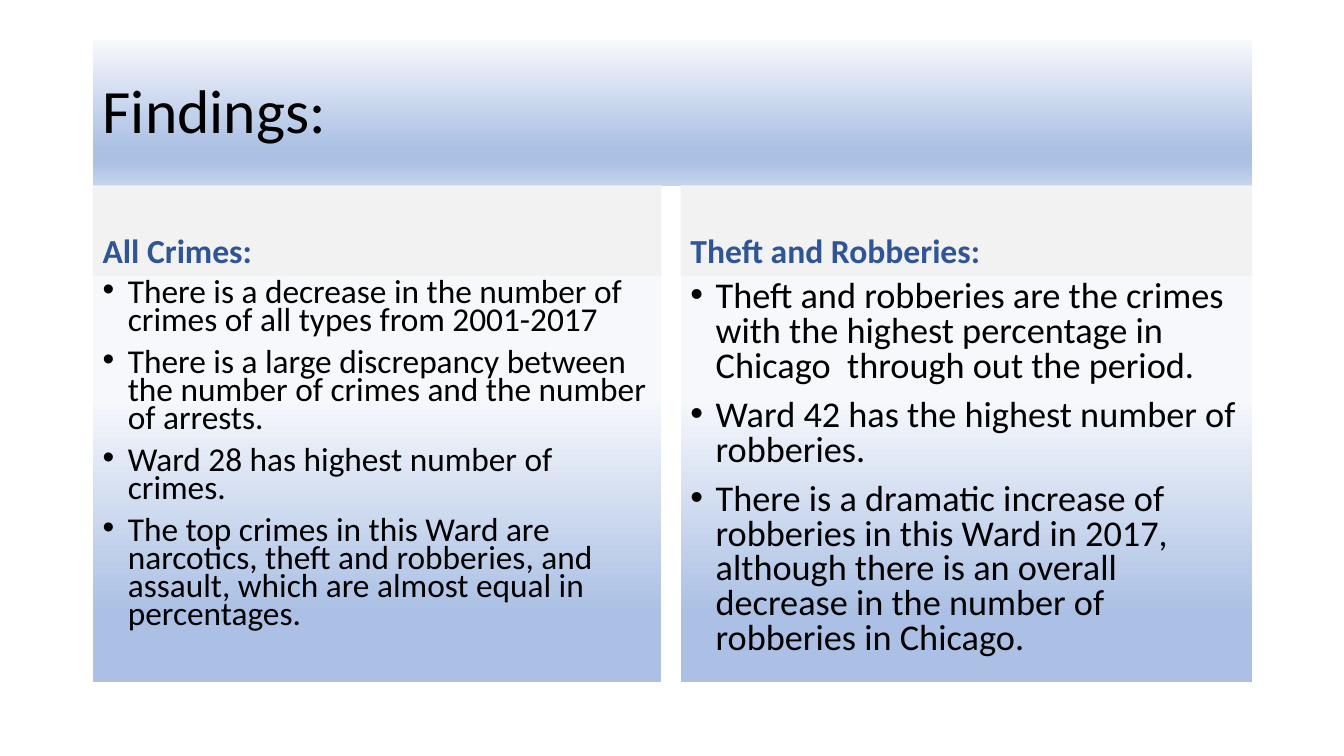
from lxml import etree
from pptx import Presentation
from pptx.dml.color import RGBColor
from pptx.enum.shapes import MSO_SHAPE
from pptx.enum.text import MSO_ANCHOR, PP_ALIGN
from pptx.oxml.ns import qn
from pptx.util import Inches, Pt

RECTANGLE = MSO_SHAPE.RECTANGLE
LEFT = PP_ALIGN.LEFT
TOP, MIDDLE, BOTTOM = MSO_ANCHOR.TOP, MSO_ANCHOR.MIDDLE, MSO_ANCHOR.BOTTOM

TITLE = "Findings:"
COLUMNS = [
    {
        "heading": "All Crimes:",
        "findings": [
            "There is a decrease in the number of crimes of all types from 2001-2017",
            "There is a large discrepancy between the number of crimes and the number of arrests.",
            "Ward 28 has highest number of crimes.",
            "The top crimes in this Ward are narcotics, theft and robberies, and assault, "
            "which are almost equal in percentages.",
        ],
        "left": 0.92, "width": 5.64, "size": 23.8, "spacing": 0.7,
    },
    {
        "heading": "Theft and Robberies:",
        "findings": [
            "Theft and robberies are the crimes with the highest percentage in "
            "Chicago  through out the period.",
            "Ward 42 has the highest number of robberies.",
            "There is a dramatic increase of robberies in this Ward in 2017, although "
            "there is an overall decrease in the number of robberies in Chicago.",
        ],
        "left": 6.75, "width": 5.67, "size": 25.9, "spacing": 0.8,
    },
]

FONT = "Calibri"
BLACK, BLUE, GRAY = "000000", "2F5597", "F2F2F2"
TITLE_GRADIENT = [(0, "F6F8FC"), (74, "ABC0E4"), (83, "ABC0E4"), (100, "C7D5ED")]
FINDINGS_GRADIENT = [(30, "F6F8FC"), (83, "ABC0E4"), (100, "ABC0E4"), (100, "C7D5ED")]

TITLE_TOP, TITLE_HEIGHT = 0.4, 1.45
HEADING_TOP, HEADING_HEIGHT = 1.84, 0.9
FINDINGS_TOP, FINDINGS_HEIGHT = HEADING_TOP + HEADING_HEIGHT, 4.03
SPACE_BEFORE = 10
INDENT = 0.25


def color(hex_text):
    return RGBColor.from_string(hex_text)


def fill_gradient(panel, stops):
    gradient = etree.Element(qn("a:gradFill"), rotWithShape="1")
    stop_list = etree.SubElement(gradient, qn("a:gsLst"))
    for percent, hex_text in stops:
        stop = etree.SubElement(stop_list, qn("a:gs"), pos=str(percent * 1000))
        etree.SubElement(stop, qn("a:srgbClr"), val=hex_text)
    etree.SubElement(gradient, qn("a:lin"), ang="5400000", scaled="0")
    panel._element.spPr.find(qn("a:prstGeom")).addnext(gradient)


def add_bullet(paragraph):
    properties = paragraph._p.get_or_add_pPr()
    properties.set("marL", str(Inches(INDENT)))
    properties.set("indent", str(-Inches(INDENT)))
    etree.SubElement(properties, qn("a:buFont"), typeface="Arial")
    etree.SubElement(properties, qn("a:buChar"), char="•")


def add_panel(slide, box, lines, size, fill, anchor, hex_text=BLACK,
              bold=False, spacing=0.9, before=SPACE_BEFORE, bulleted=False):
    panel = slide.shapes.add_shape(RECTANGLE, *map(Inches, box))
    panel.shadow.inherit = False
    panel.line.fill.background()
    if isinstance(fill, str):
        panel.fill.solid()
        panel.fill.fore_color.rgb = color(fill)
    else:
        fill_gradient(panel, fill)
    frame = panel.text_frame
    frame.word_wrap = True
    frame.vertical_anchor = anchor
    frame.text = "\n".join(lines)
    for paragraph in frame.paragraphs:
        paragraph.alignment = LEFT
        paragraph.line_spacing = spacing
        paragraph.space_before = Pt(before)
        if bulleted:
            add_bullet(paragraph)
        for run in paragraph.runs:
            run.font.name = FONT
            run.font.size = Pt(size)
            run.font.bold = bold
            run.font.color.rgb = color(hex_text)


def main():
    deck = Presentation()
    deck.slide_width, deck.slide_height = Inches(13.33), Inches(7.5)
    slide = deck.slides.add_slide(deck.slide_layouts[6])

    first, last = COLUMNS[0], COLUMNS[-1]
    title_width = last["left"] + last["width"] - first["left"]
    add_panel(slide, (first["left"], TITLE_TOP, title_width, TITLE_HEIGHT),
              [TITLE], 44, TITLE_GRADIENT, MIDDLE, before=0)

    for column in COLUMNS:
        left, width = column["left"], column["width"]
        add_panel(slide, (left, HEADING_TOP, width, HEADING_HEIGHT),
                  [column["heading"]], 24, GRAY, BOTTOM, BLUE, bold=True)
        add_panel(slide, (left, FINDINGS_TOP, width, FINDINGS_HEIGHT),
                  column["findings"], column["size"], FINDINGS_GRADIENT, TOP,
                  spacing=column["spacing"], bulleted=True)

    deck.save("out.pptx")


if __name__ == "__main__":
    main()
